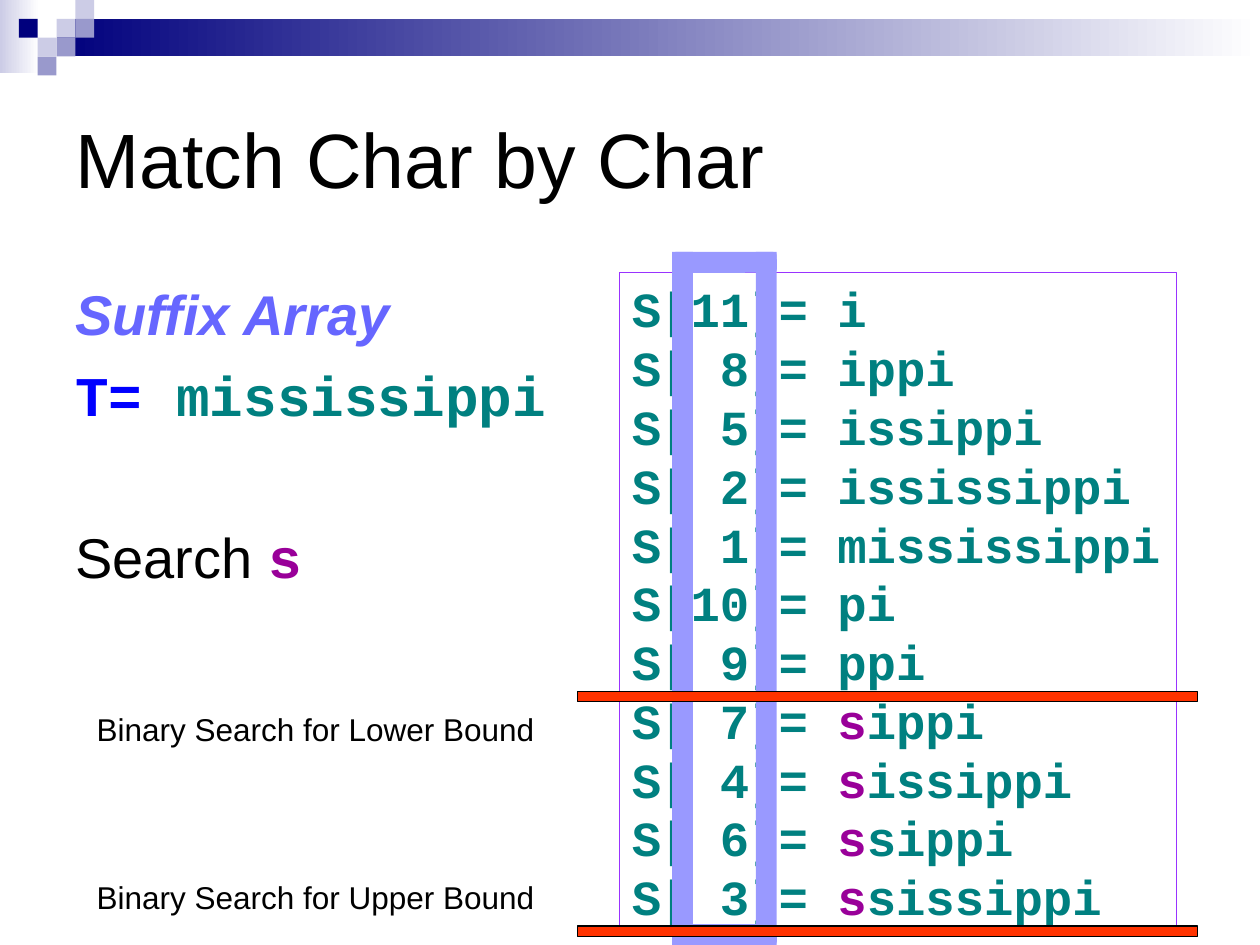
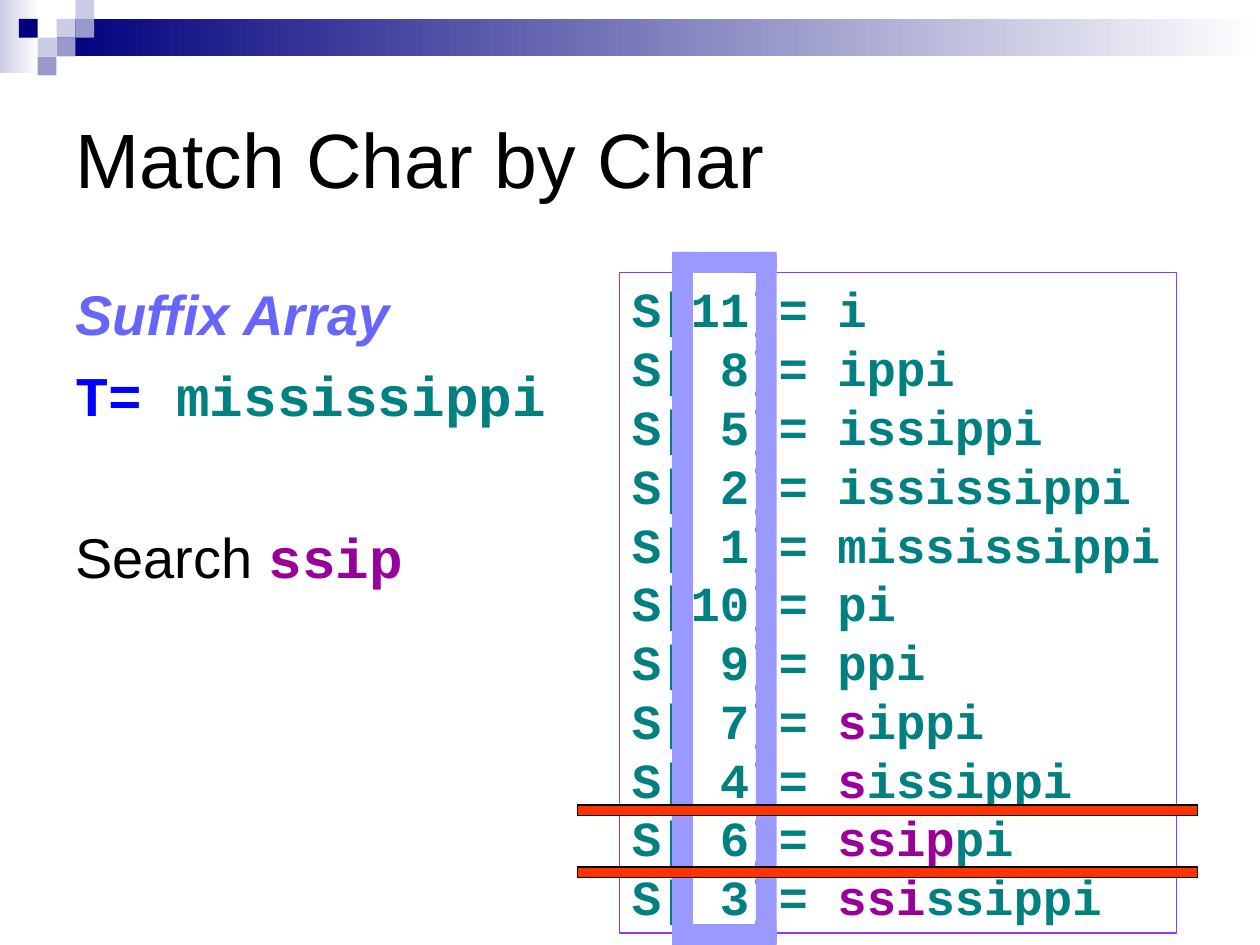
from dataclasses import dataclass
from itertools import takewhile

from pptx import Presentation
from pptx.dml.color import RGBColor
from pptx.enum.shapes import MSO_SHAPE
from pptx.enum.text import MSO_ANCHOR
from pptx.util import Cm, Pt

RECT, ROUND = MSO_SHAPE.RECTANGLE, MSO_SHAPE.ROUNDED_RECTANGLE
TOP, MIDDLE = MSO_ANCHOR.TOP, MSO_ANCHOR.MIDDLE

COLORS = {
    "white": "FFFFFF", "black": "000000", "navy": "00007D",
    "pale": "CCCCE6", "mid": "9999CC", "frame": "9999FF",
    "border": "9933FF", "bound": "FF3300", "heading": "6666FF",
    "blue": "0000FF", "teal": "008080", "match": "990099",
}
TITLE = {"name": "Arial", "size": Pt(44)}
BODY = {"name": "Arial", "size": Pt(32)}
CODE = {"name": "Courier New", "size": Pt(32), "bold": True}
SUFFIX = CODE | {"size": Pt(28)}
LABEL = {"name": "Arial", "size": Pt(18)}

WORD = "mississippi"
UNIT = 0.38   # side of a corner square, cm
SIDE = 0.42   # thickness of the index frame, cm


@dataclass(frozen=True)
class Box:
    x: float
    y: float
    w: float
    h: float

    def lengths(self) -> list:
        return [Cm(v) for v in (self.x, self.y, self.w, self.h)]


@dataclass(frozen=True)
class Run:
    text: str
    color: str
    font: dict


@dataclass(frozen=True)
class Para:
    runs: list
    format: dict


@dataclass(frozen=True)
class Search:
    pattern: str
    bounds: tuple
    labels: tuple = ()


SQUARES = [  # column, row, colour
    (3, 1, "pale"), (4, 0, "pale"), (4, 1, "mid"), (2, 2, "pale"),
    (1, 1, "navy"), (3, 2, "mid"), (2, 3, "mid"),
]
FRAME = [
    (RECT, Box(13.55, 5.08, SIDE, 13.97)),
    (RECT, Box(15.24, 5.08, SIDE, 13.97)),
    (ROUND, Box(13.55, 5.08, 2.11, SIDE)),
    (ROUND, Box(13.55, 18.63, 2.11, SIDE)),
]
SEARCHES = [
    Search("s", (13.94, 18.67), (("Binary Search for Lower Bound", 14.18),
                                 ("Binary Search for Upper Bound", 17.58))),
    Search("ssip", (16.23, 17.48)),
]


def rgb(name: str) -> RGBColor:
    return RGBColor.from_string(COLORS[name])


def add_block(s, box: Box, fill: str = "", line: str = "", kind=RECT):
    sp = s.shapes.add_shape(kind, *box.lengths())
    sp.shadow.inherit = False
    if fill:
        sp.fill.solid()
        sp.fill.fore_color.rgb = rgb(fill)
    else:
        sp.fill.background()
    if line:
        sp.line.color.rgb = rgb(line)
        sp.line.width = Pt(0.75)
    else:
        sp.line.fill.background()
    return sp


def add_fade(s, box: Box, color: str) -> None:
    sp = add_block(s, box)
    sp.fill.gradient()
    sp.fill.gradient_angle = 180
    for stop, name in zip(sp.fill.gradient_stops, ("white", color)):
        stop.color.rgb = rgb(name)


def add_text(s, box: Box, paras: list, anchor=TOP, wrap: bool = True) -> None:
    tf = s.shapes.add_textbox(*box.lengths()).text_frame
    for key, value in {"word_wrap": wrap, "vertical_anchor": anchor}.items():
        setattr(tf, key, value)
    for i, para in enumerate(paras):
        p = tf.add_paragraph() if i else tf.paragraphs[0]
        for key, value in para.format.items():
            setattr(p, key, value)
        for run in para.runs:
            r = p.add_run()
            r.text = run.text
            r.font.color.rgb = rgb(run.color)
            for key, value in run.font.items():
                setattr(r.font, key, value)


def add_header(s) -> None:
    add_fade(s, Box(0, 0, 0.79, 1.47), "pale")
    add_fade(s, Box(3 * UNIT, UNIT, 24.26, 2 * UNIT), "navy")
    for col, row, color in SQUARES:
        add_block(s, Box(col * UNIT, row * UNIT, UNIT, UNIT), color)
    title = Para([Run("Match Char by Char", "black", TITLE)], {})
    add_text(s, Box(1.27, 1.27, 22.86, 3.81), [title], MIDDLE)


def suffix_paras(pattern: str) -> list:
    """Sorted suffixes, with the prefix shared with the pattern coloured."""
    paras = []
    for start in sorted(range(len(WORD)), key=lambda i: WORD[i:]):
        suffix = WORD[start:]
        same = takewhile(lambda pair: pair[0] == pair[1], zip(suffix, pattern))
        n = len(list(same))
        parts = [(f"S[{start + 1:>2}]= ", "teal"), (suffix[:n], "match"),
                 (suffix[n:], "teal")]
        runs = [Run(text, color, SUFFIX) for text, color in parts if text]
        paras.append(Para(runs, {"line_spacing": Pt(33.6)}))
    return paras


def add_search(prs, search: Search) -> None:
    s = prs.slides.add_slide(prs.slide_layouts[6])
    add_header(s)

    # Suffix list
    suffix_box = Box(12.49, 5.5, 11.23, 13.31)
    add_block(s, suffix_box, line="border")
    add_text(s, suffix_box, suffix_paras(search.pattern))

    # Text and search pattern
    heading = BODY | {"bold": True, "italic": True}
    add_text(s, Box(1.27, 5.51, 10.59, 10.8), [
        Para([Run("Suffix Array", "heading", heading)], {}),
        Para([Run("T= ", "blue", CODE), Run(WORD, "teal", CODE)],
             {"space_before": Pt(8)}),
        Para([Run("Search ", "black", BODY),
              Run(search.pattern, "match", CODE)], {"space_before": Pt(54)}),
    ])

    # Frame around the indexes
    for kind, box in FRAME:
        add_block(s, box, "frame", kind=kind)

    # Bounds of the match
    for y in search.bounds:
        add_block(s, Box(11.64, y, 12.5, 0.21), "bound", "black")
    for text, y in search.labels:
        add_text(s, Box(1.7, y, 9.6, 1.02),
                 [Para([Run(text, "black", LABEL)], {})], wrap=False)


def main() -> None:
    prs = Presentation()
    prs.slide_width, prs.slide_height = Cm(25.4), Cm(19.05)
    for search in SEARCHES:
        add_search(prs, search)
    prs.save("out.pptx")


if __name__ == "__main__":
    main()
